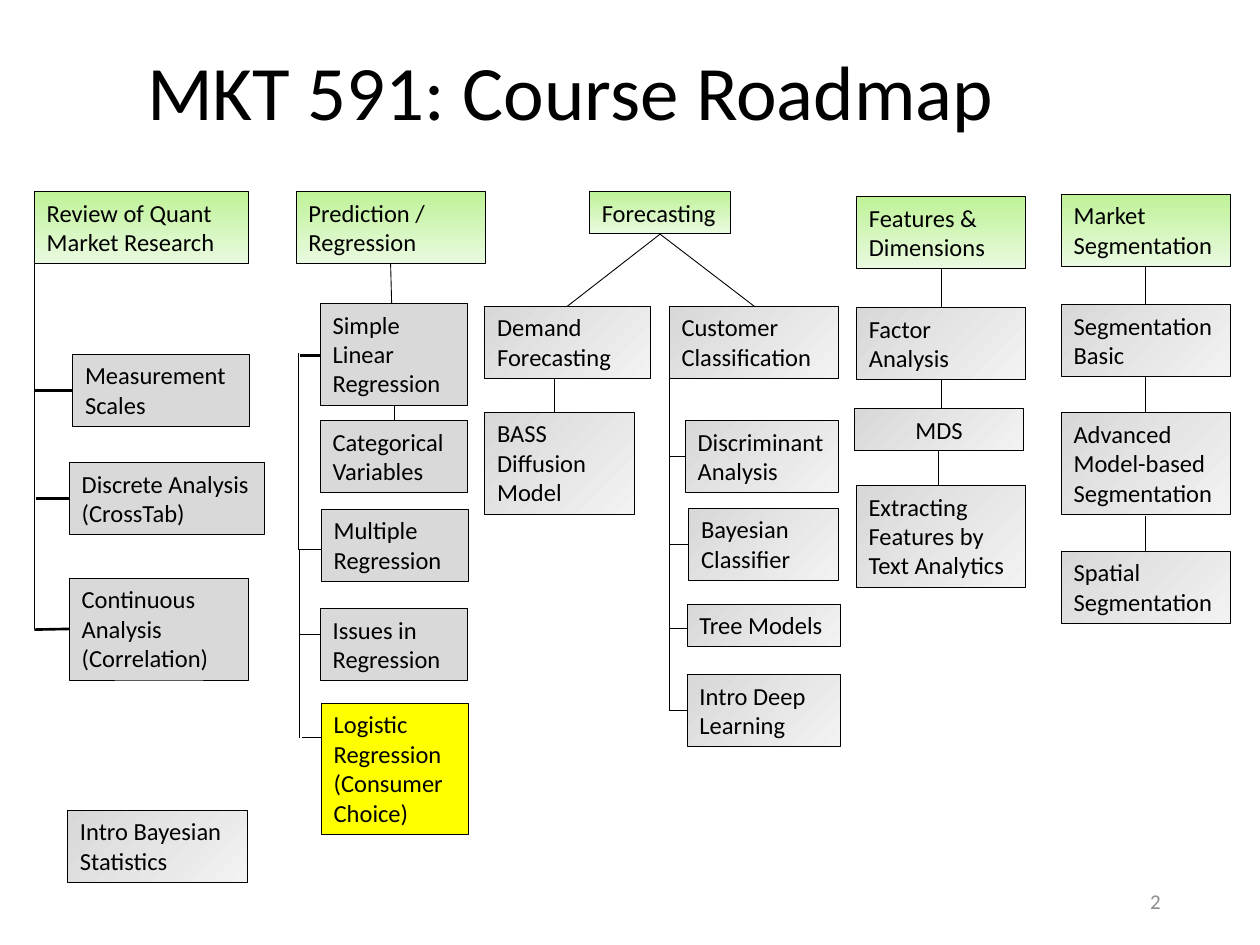
from typing import NamedTuple

from lxml.etree import SubElement
from pptx import Presentation
from pptx.dml.color import RGBColor
from pptx.enum.shapes import MSO_CONNECTOR as Connector, MSO_SHAPE as Shape
from pptx.enum.text import MSO_ANCHOR as Anchor, MSO_AUTO_SIZE as AutoSize, PP_ALIGN as Align
from pptx.oxml.ns import qn
from pptx.util import Pt

BLACK = RGBColor(0x00, 0x00, 0x00)
PAGE_GREY = RGBColor(0x8C, 0x8C, 0x8C)
FLAT_GREY = RGBColor(0xD9, 0xD9, 0xD9)
YELLOW = RGBColor(0xFF, 0xFF, 0x00)
GREEN_START = RGBColor(0xBE, 0xF2, 0x97)
GREEN_END = RGBColor(0xEA, 0xFA, 0xE0)
GREY_START = RGBColor(0xD8, 0xD8, 0xD8)
GREY_END = RGBColor(0xF2, 0xF2, 0xF2)

FONT = "Calibri"
LINE_HEIGHT = 17
BOX_PADDING = 7.2
THIN, THICK = 0.5, 1.5


class Style(NamedTuple):
    """A plain fill, or a gradient when it has an end colour."""
    start: RGBColor
    end: RGBColor | None = None
    angle: float = 0


class Topic(NamedTuple):
    label: str
    left: float
    top: float
    width: float
    lines: int = 2
    align: Align = Align.LEFT


class Link(NamedTuple):
    x1: float
    y1: float
    x2: float
    y2: float
    weight: float = THIN


HEADING = Style(GREEN_START, GREEN_END, 270)
SHADED = Style(GREY_START, GREY_END, 315)
PLAIN = Style(FLAT_GREY)
CURRENT = Style(YELLOW)

TOPICS = {
    HEADING: [
        Topic("Review of Quant Market Research", 19.6, 109.5, 122.6),
        Topic("Prediction / Regression", 169.2, 109.5, 108),
        Topic("Forecasting", 336.8, 109.5, 80.6, lines=1),
        Topic("Features & Dimensions", 489.4, 112.3, 96.8),
        Topic("Market Segmentation", 606.4, 111, 96.8),
    ],
    PLAIN: [
        Topic("Measurement Scales", 41.5, 202.4, 101),
        Topic("Discrete Analysis (CrossTab)", 39.6, 264.2, 111.6),
        Topic("Continuous Analysis (Correlation)", 39.6, 330.4, 102.6, lines=3),
        Topic("Simple Linear Regression", 183, 173.4, 84.2, lines=3),
        Topic("Categorical Variables", 183, 240.4, 84.2),
        Topic("Multiple Regression", 183.6, 291, 84.2),
        Topic("Issues in Regression", 183, 347.8, 84.2),
    ],
    CURRENT: [
        Topic("Logistic Regression (Consumer Choice)", 183.6, 401.8, 84.2, lines=4),
    ],
    SHADED: [
        Topic("Intro Bayesian Statistics", 38.6, 463, 102.6),
        Topic("Demand Forecasting", 277, 175, 94.6),
        Topic("BASS Diffusion Model", 277, 235.6, 85.6, lines=3),
        Topic("Customer Classification", 382.4, 175, 96.6),
        Topic("Discriminant Analysis", 391.6, 240.4, 87.6),
        Topic("Bayesian Classifier", 393.6, 290.4, 85.6),
        Topic("Tree Models", 392.6, 345.2, 87.8, lines=1),
        Topic("Intro Deep Learning", 392.6, 385.6, 87.8),
        Topic("Factor Analysis", 489.4, 175.6, 96.8),
        Topic("MDS", 488.2, 233.4, 96.8, lines=1, align=Align.CENTER),
        Topic("Extracting Features by Text Analytics", 489.2, 277.4, 96.8, lines=3),
        Topic("Segmentation Basic", 606.4, 174.2, 96.8),
        Topic("Advanced Model-based Segmentation", 606.4, 235.8, 96.8, lines=3),
        Topic("Spatial Segmentation", 606.4, 315, 96.8),
    ],
}

RESEARCH_X, REGRESSION_X, CLASSIFIER_X = 19.6, 171.4, 382.4
FACTOR_X, SEGMENT_X = 538, 654.6
FORK = (377.2, 133.8)

LINKS = [
    # Market research
    Link(RESEARCH_X, 150.6, RESEARCH_X, 359.6),
    Link(RESEARCH_X, 223, 41, 223, THICK),
    Link(RESEARCH_X + 1, 284.8, 39.6, 284.8, THICK),
    Link(RESEARCH_X, 359.8, 39.6, 359.4, THICK),
    # Regression
    Link(223.2, 150.6, 223.8, 173.4),
    Link(225.4, 231.2, 225.4, 240.4),
    Link(REGRESSION_X, 203, 183, 203, THICK),
    Link(REGRESSION_X - 0.6, 201.8, REGRESSION_X - 0.6, 314.4),
    Link(REGRESSION_X, 314, REGRESSION_X, 421.8),
    Link(REGRESSION_X, 314, 183.6, 314),
    Link(REGRESSION_X, 362.4, 183.6, 362.4),
    Link(REGRESSION_X + 1, 421.4, 185, 421.4),
    # Forecasting
    Link(*FORK, 324.2, 175),
    Link(*FORK, 431, 175),
    Link(316.8, 215.4, 316.8, 235.6),
    Link(CLASSIFIER_X, 199.4, CLASSIFIER_X, 406.2),
    *(Link(CLASSIFIER_X, y, 393, y) for y in (261, 311, 359, 406.2)),
    # Features and dimensions
    Link(FACTOR_X, 153.4, FACTOR_X, 175.6),
    Link(FACTOR_X, 216.8, FACTOR_X, 236.8),
    Link(536.4, 257.8, 536.4, 278.6),
    # Segmentation
    Link(SEGMENT_X, 152.4, SEGMENT_X, 174.2),
    Link(SEGMENT_X, 215.2, SEGMENT_X, 235.8),
    Link(SEGMENT_X, 295, SEGMENT_X, 315),
]


def add_text(frame, text: str, size: float, color: RGBColor, align: Align) -> None:
    frame.word_wrap = True
    paragraph = frame.paragraphs[0]
    paragraph.alignment = align
    run = paragraph.add_run()
    run.text = text
    run.font.name = FONT
    run.font.size = Pt(size)
    run.font.color.rgb = color


def add_caption(slide, text: str, left: float, top: float, width: float, height: float,
                size: float, color: RGBColor, align: Align):
    """Add unboxed text, centred vertically, and return its frame."""
    frame = slide.shapes.add_textbox(Pt(left), Pt(top), Pt(width), Pt(height)).text_frame
    frame.vertical_anchor = Anchor.MIDDLE
    add_text(frame, text, size, color, align)
    return frame


def apply_fill(fill, style: Style) -> None:
    if style.end is None:
        fill.solid()
        fill.fore_color.rgb = style.start
        return
    fill.gradient()
    fill.gradient_angle = style.angle
    for stop, color, position in zip(fill.gradient_stops, (style.start, style.end), (0, 1)):
        stop.color.rgb = color
        stop.position = position


def add_topic(slide, topic: Topic, style: Style) -> None:
    height = BOX_PADDING + LINE_HEIGHT * topic.lines
    box = slide.shapes.add_shape(
        Shape.RECTANGLE, Pt(topic.left), Pt(topic.top), Pt(topic.width), Pt(height))
    box.shadow.inherit = False
    apply_fill(box.fill, style)
    box.line.color.rgb = BLACK
    box.line.width = Pt(THIN)
    box.text_frame.vertical_anchor = Anchor.TOP
    box.text_frame.auto_size = AutoSize.SHAPE_TO_FIT_TEXT
    add_text(box.text_frame, topic.label, 14, BLACK, topic.align)


def add_link(slide, link: Link) -> None:
    line = slide.shapes.add_connector(
        Connector.STRAIGHT, Pt(link.x1), Pt(link.y1), Pt(link.x2), Pt(link.y2))
    line.line.color.rgb = BLACK
    line.line.width = Pt(link.weight)
    SubElement(line.element.spPr, qn("a:effectLst"))


def main() -> None:
    deck = Presentation()
    deck.slide_width, deck.slide_height = Pt(720), Pt(540)
    slide = deck.slides.add_slide(deck.slide_layouts[6])

    title = add_caption(slide, "MKT 591: Course Roadmap", 77, 2.2, 523.4, 104.4,
                        44, BLACK, Align.LEFT)
    title.paragraphs[0].line_spacing = 0.9
    add_caption(slide, "2", 508.4, 500.4, 162, 28.8, 12, PAGE_GREY, Align.RIGHT)

    for link in LINKS:
        add_link(slide, link)
    for style, topics in TOPICS.items():
        for topic in topics:
            add_topic(slide, topic, style)
    deck.save("out.pptx")


if __name__ == "__main__":
    main()
